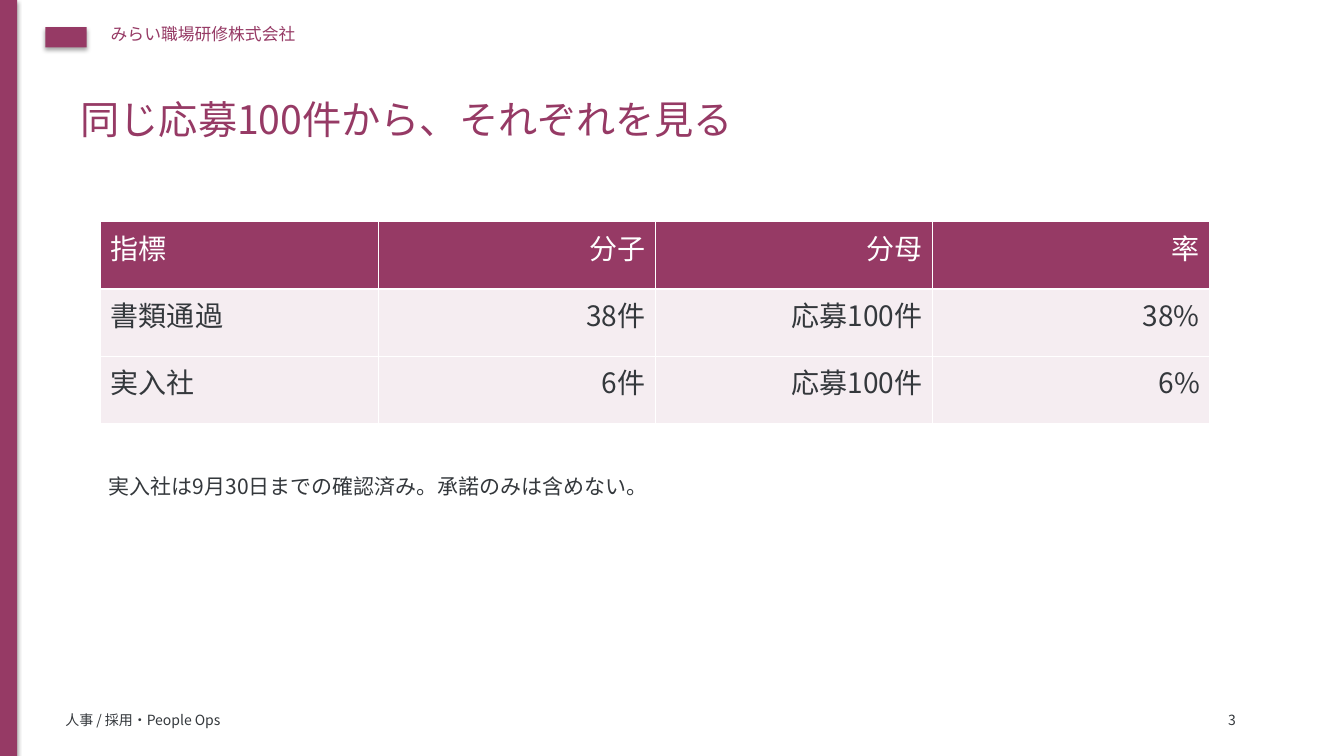
from lxml.etree import SubElement
from pptx import Presentation
from pptx.dml.color import RGBColor
from pptx.enum.shapes import MSO_SHAPE
from pptx.enum.text import MSO_ANCHOR, MSO_AUTO_SIZE, PP_ALIGN
from pptx.oxml.ns import qn
from pptx.util import Inches, Pt

FONT = "Noto Sans CJK JP"
PLUM, INK, TINT, WHITE = "963A65", "34383C", "F5EDF1", "FFFFFF"
LEFT, WIDTH = 1, 11  # content column, inches


def rgb(value):
    return RGBColor.from_string(value)


def write(tf, text, size, color, align=PP_ALIGN.LEFT):
    p = tf.paragraphs[0]
    p.alignment = align
    r = p.add_run()
    r.text = text
    for name, value in {"name": FONT, "size": Pt(size), "bold": False}.items():
        setattr(r.font, name, value)
    r.font.color.rgb = rgb(color)
    SubElement(r.font._element, qn("a:ea")).set("typeface", FONT)


prs = Presentation()
prs.slide_width, prs.slide_height = Inches(13.33), Inches(7.5)
s = prs.slides.add_slide(prs.slide_layouts[5])

# Side bar and a plain emblem, both with the theme's soft shadow
for x, y, w, h in [(0, 0, 0.17, 7.5), (0.45, 0.27, 0.41, 0.2)]:
    sp = s.shapes.add_shape(MSO_SHAPE.RECTANGLE, Inches(x), Inches(y), Inches(w), Inches(h))
    sp.fill.solid()
    sp.fill.fore_color.rgb = rgb(PLUM)
    sp.line.fill.background()

# Title
title = s.shapes.title
frame = {"left": 0.7, "top": 0.9, "width": 11.8, "height": 0.85}
for name, value in frame.items():
    setattr(title, name, Inches(value))
tf = title.text_frame
tf.auto_size = MSO_AUTO_SIZE.NONE
tf.vertical_anchor = MSO_ANCHOR.TOP
write(tf, "同じ応募100件から、それぞれを見る", 28, PLUM)

# Header, footer, page number and note: text, place, side inset, size, colour
texts = [
    ("みらい職場研修株式会社", (LEFT, 0.19, 8, 0.4), 0.1, 12, PLUM),
    ("人事 / 採用・People Ops", (0.55, 7.01, 10, 0.3), 0.1, 10, INK),
    ("3", (12.1, 7.01, 0.5, 0.25), 0.08, 10, INK),
    ("実入社は9月30日までの確認済み。承諾のみは含めない。", (LEFT, 4.65, WIDTH, 0.55), 0.08, 15, INK),
]
for text, place, inset, size, color in texts:
    tf = s.shapes.add_textbox(*map(Inches, place)).text_frame
    tf.word_wrap = True
    tf.margin_left = tf.margin_right = Inches(inset)
    write(tf, text, size, color)

# Table of rates; the default style supplies the white rules
rows = [
    ("指標", "分子", "分母", "率"),
    ("書類通過", "38件", "応募100件", "38%"),
    ("実入社", "6件", "応募100件", "6%"),
]
table = s.shapes.add_table(len(rows), len(rows[0]), Inches(LEFT), Inches(2.2),
                           Inches(WIDTH), Inches(2)).table
table.horz_banding = False
for i, row in enumerate(rows):
    fill, color = (TINT, INK) if i else (PLUM, WHITE)
    for j, text in enumerate(row):
        cell = table.cell(i, j)
        cell.fill.solid()
        cell.fill.fore_color.rgb = rgb(fill)
        write(cell.text_frame, text, 20, color, PP_ALIGN.RIGHT if j else PP_ALIGN.LEFT)

prs.save("out.pptx")
